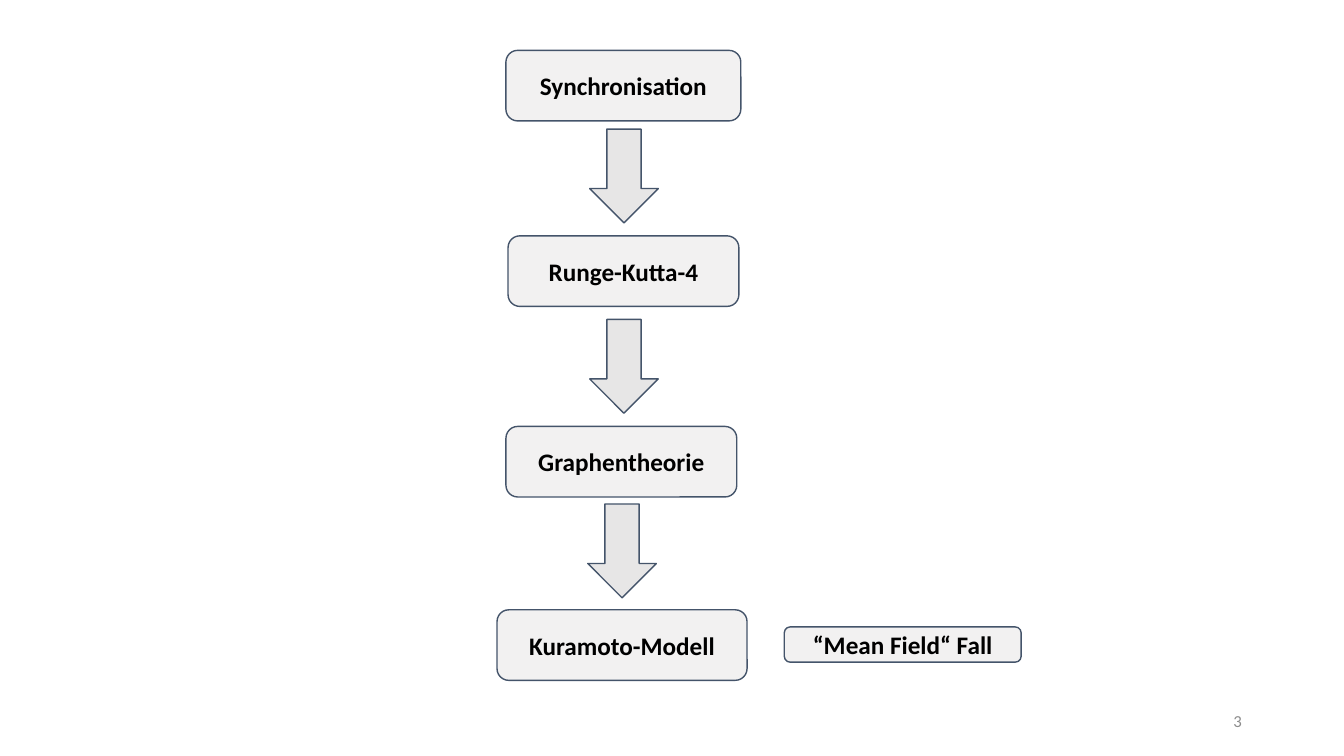
from lxml import etree
from pptx import Presentation
from pptx.dml.color import RGBColor
from pptx.enum import shapes, text
from pptx.oxml import ns
from pptx.util import Pt

BOX_HEIGHT = 50.4
STEPS = [  # label, left, top, width
    ("Synchronisation", 361.4, 36, 167.8),
    ("Runge-Kutta-4", 362.9, 168.5, 164.9),
    ("Graphentheorie", 361.4, 304.6, 164.9),
    ("Kuramoto-Modell", 355, 435.6, 178.6),
]
ARROWS = [(421.2, 92.2), (421.2, 228.2), (419.8, 360)]  # left, top


def color(value):
    return RGBColor.from_string(value)


class FlowSlide:
    font = "Calibri"
    fill = "E7E6E6"
    line = "44546A"
    box_opacity = 53

    def __init__(self, slide):
        self.slide = slide

    def add_text(self, shape, content, size=18, ink="000000", bold=False,
                 align=text.PP_ALIGN.CENTER):
        frame = shape.text_frame
        frame.word_wrap = True
        frame.vertical_anchor = text.MSO_ANCHOR.MIDDLE
        paragraph = frame.paragraphs[0]
        paragraph.alignment = align
        run = paragraph.add_run()
        run.text = content
        run.font.name = self.font
        run.font.size = Pt(size)
        run.font.bold = bold
        run.font.color.rgb = color(ink)

    def shape(self, kind, left, top, width, height):
        shape = self.slide.shapes.add_shape(
            kind, Pt(left), Pt(top), Pt(width), Pt(height))
        shape.shadow.inherit = False
        shape.fill.solid()
        shape.fill.fore_color.rgb = color(self.fill)
        shape.line.color.rgb = color(self.line)
        shape.line.width = Pt(1)
        return shape

    def box(self, label, left, top, width, height=BOX_HEIGHT):
        box = self.shape(shapes.MSO_SHAPE.ROUNDED_RECTANGLE,
                         left, top, width, height)
        fill = box.element.spPr.find(ns.qn("a:solidFill"))
        etree.SubElement(fill[0], ns.qn("a:alpha"),
                         val=str(self.box_opacity * 1000))
        self.add_text(box, label, bold=True)

    def arrow(self, left, top):
        self.shape(shapes.MSO_SHAPE.DOWN_ARROW, left, top, 49, 67)

    def page_number(self, number):
        box = self.slide.shapes.add_textbox(
            Pt(678.2), Pt(500.4), Pt(216), Pt(28.8))
        self.add_text(box, number, size=12, ink="8C8C8C",
                      align=text.PP_ALIGN.RIGHT)


def main():
    presentation = Presentation()
    presentation.slide_width = Pt(960)
    presentation.slide_height = Pt(540)
    blank_layout = presentation.slide_layouts[6]
    flow = FlowSlide(presentation.slides.add_slide(blank_layout))

    flow.page_number("3")
    for step in STEPS:
        flow.box(*step)
    flow.box("“Mean Field“ Fall", 560.2, 447.8, 169.2, height=25.2)
    for position in ARROWS:
        flow.arrow(*position)

    presentation.save("out.pptx")


if __name__ == "__main__":
    main()
